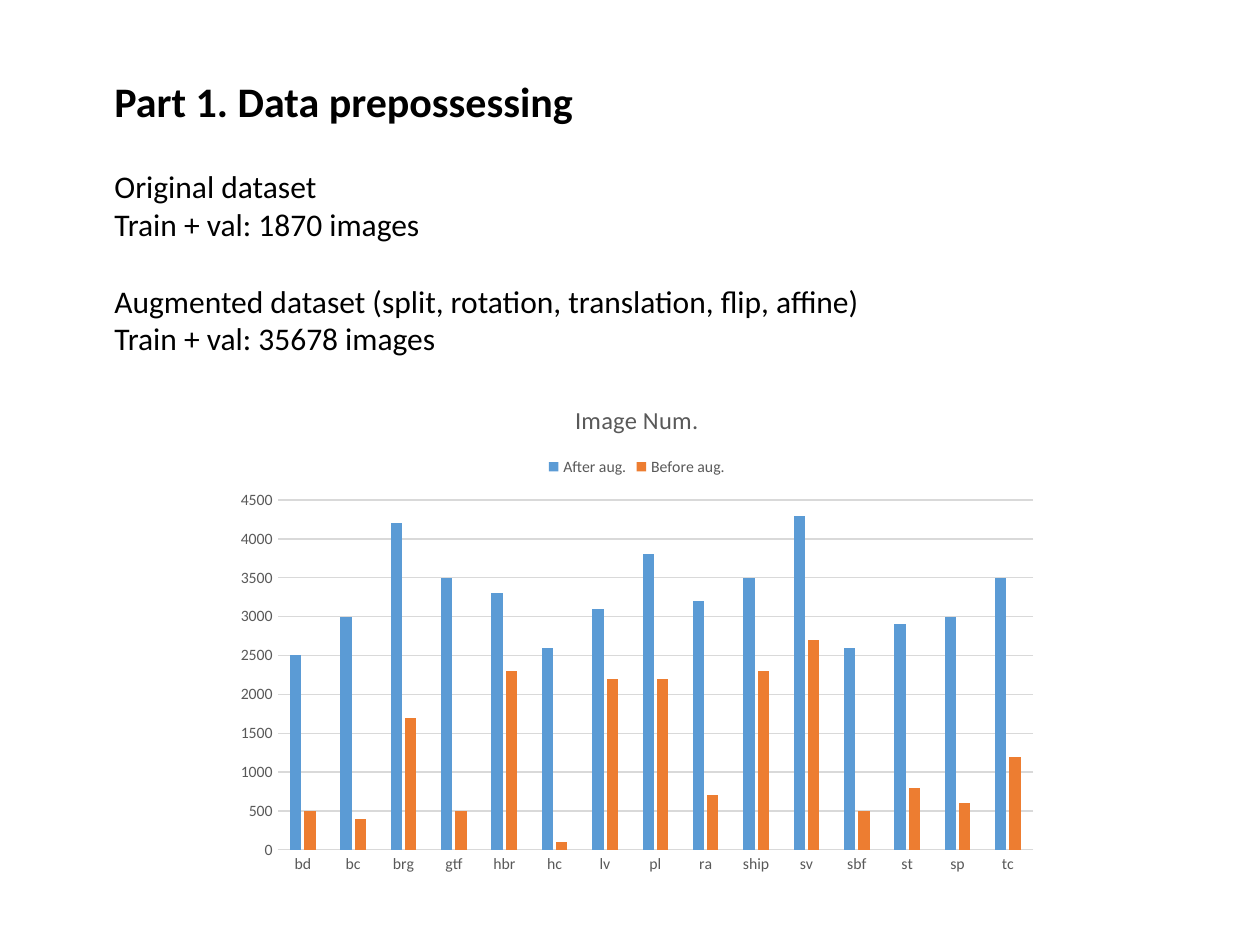
"""Build the data preprocessing slide with dataset notes and an image count chart."""
from dataclasses import dataclass

from pptx import Presentation
from pptx.chart.data import CategoryChartData
from pptx.dml.color import RGBColor
from pptx.enum.chart import XL_CHART_TYPE, XL_LEGEND_POSITION, XL_TICK_MARK
from pptx.enum.text import MSO_AUTO_SIZE
from pptx.util import Inches, Pt

CLUSTERED = XL_CHART_TYPE.COLUMN_CLUSTERED
LEGEND_TOP = XL_LEGEND_POSITION.TOP
NO_TICK = XL_TICK_MARK.NONE
FIT_SHAPE = MSO_AUTO_SIZE.SHAPE_TO_FIT_TEXT

FONT = "Calibri"
BLACK = RGBColor(0x00, 0x00, 0x00)
GRAY = RGBColor(0x59, 0x59, 0x59)
LIGHT_GRAY = RGBColor(0xD9, 0xD9, 0xD9)
BLUE = RGBColor(0x5B, 0x9B, 0xD5)
ORANGE = RGBColor(0xED, 0x7D, 0x31)


@dataclass(frozen=True)
class TextBlock:
    top: float
    width: float
    height: float
    size: int
    groups: tuple[tuple[str, ...], ...]
    bold: bool = False


@dataclass(frozen=True)
class ImageCounts:
    name: str
    color: RGBColor
    values: tuple[int, ...]


TEXT_LEFT = 0.81
GROUP_GAP = 22
TEXT_BLOCKS = (
    TextBlock(0.55, 4.3, 0.5, 24, (("Part 1. Data prepossessing",),), bold=True),
    TextBlock(1.28, 7.35, 1.62, 18, (
        ("Original dataset", "Train + val: 1870 images"),
        ("Augmented dataset (split, rotation, translation, flip, affine)",
         "Train + val: 35678 images"),
    )),
)

CLASSES = ("bd", "bc", "brg", "gtf", "hbr", "hc", "lv", "pl", "ra", "ship",
           "sv", "sbf", "st", "sp", "tc")
COUNTS = (
    ImageCounts("After aug.", BLUE, (2500, 3000, 4200, 3500, 3300, 2600, 3100, 3800,
                                     3200, 3500, 4300, 2600, 2900, 3000, 3500)),
    ImageCounts("Before aug.", ORANGE, (500, 400, 1700, 500, 2300, 100, 2200, 2200,
                                        700, 2300, 2700, 500, 800, 600, 1200)),
)


def set_font(font, size: float, color: RGBColor, bold: bool = False) -> None:
    font.name = FONT
    font.size = Pt(size)
    font.bold = bold
    font.color.rgb = color


def set_line(line) -> None:
    line.color.rgb = LIGHT_GRAY
    line.width = Pt(0.75)


def add_text_block(slide, block: TextBlock) -> None:
    box = slide.shapes.add_textbox(Inches(TEXT_LEFT), Inches(block.top),
                                   Inches(block.width), Inches(block.height))
    frame = box.text_frame
    frame.word_wrap = True
    frame.auto_size = FIT_SHAPE
    frame.text = "\n".join(line for group in block.groups for line in group)
    for paragraph in frame.paragraphs:
        set_font(paragraph.font, block.size, BLACK, block.bold)
    group_start = 0
    for group in block.groups[:-1]:
        group_start += len(group)
        frame.paragraphs[group_start].space_before = Pt(GROUP_GAP)


def add_counts_chart(slide) -> None:
    chart_data = CategoryChartData(number_format="General")
    chart_data.categories = CLASSES
    for counts in COUNTS:
        chart_data.add_series(counts.name, counts.values)
    chart = slide.shapes.add_chart(CLUSTERED, Inches(1.78), Inches(3.03),
                                   Inches(6.55), Inches(3.98), chart_data).chart
    set_font(chart.font, 10, BLACK)

    chart.has_title = True
    heading = chart.chart_title.text_frame
    heading.text = "Image Num."
    set_font(heading.paragraphs[0].font, 14, GRAY)
    chart.chart_title.include_in_layout = False

    chart.has_legend = True
    chart.legend.position = LEGEND_TOP
    chart.legend.include_in_layout = False
    set_font(chart.legend.font, 9, GRAY)

    for axis in (chart.category_axis, chart.value_axis):
        axis.major_tick_mark = NO_TICK
        axis.minor_tick_mark = NO_TICK
        set_font(axis.tick_labels.font, 9, GRAY)
    set_line(chart.category_axis.format.line)
    chart.value_axis.format.line.fill.background()
    set_line(chart.value_axis.major_gridlines.format.line)
    chart.value_axis.minimum_scale = 0
    chart.value_axis.maximum_scale = 4500
    chart.value_axis.major_unit = 500

    plot = chart.plots[0]
    plot.gap_width = 219
    plot.overlap = -27
    plot.vary_by_categories = False
    for series, counts in zip(plot.series, COUNTS):
        series.format.fill.solid()
        series.format.fill.fore_color.rgb = counts.color
        series.invert_if_negative = False


def main() -> None:
    presentation = Presentation()
    presentation.slide_width = Inches(10)
    presentation.slide_height = Inches(7.5)
    slide = presentation.slides.add_slide(presentation.slide_layouts[6])
    for block in TEXT_BLOCKS:
        add_text_block(slide, block)
    add_counts_chart(slide)
    presentation.save("out.pptx")


if __name__ == "__main__":
    main()
